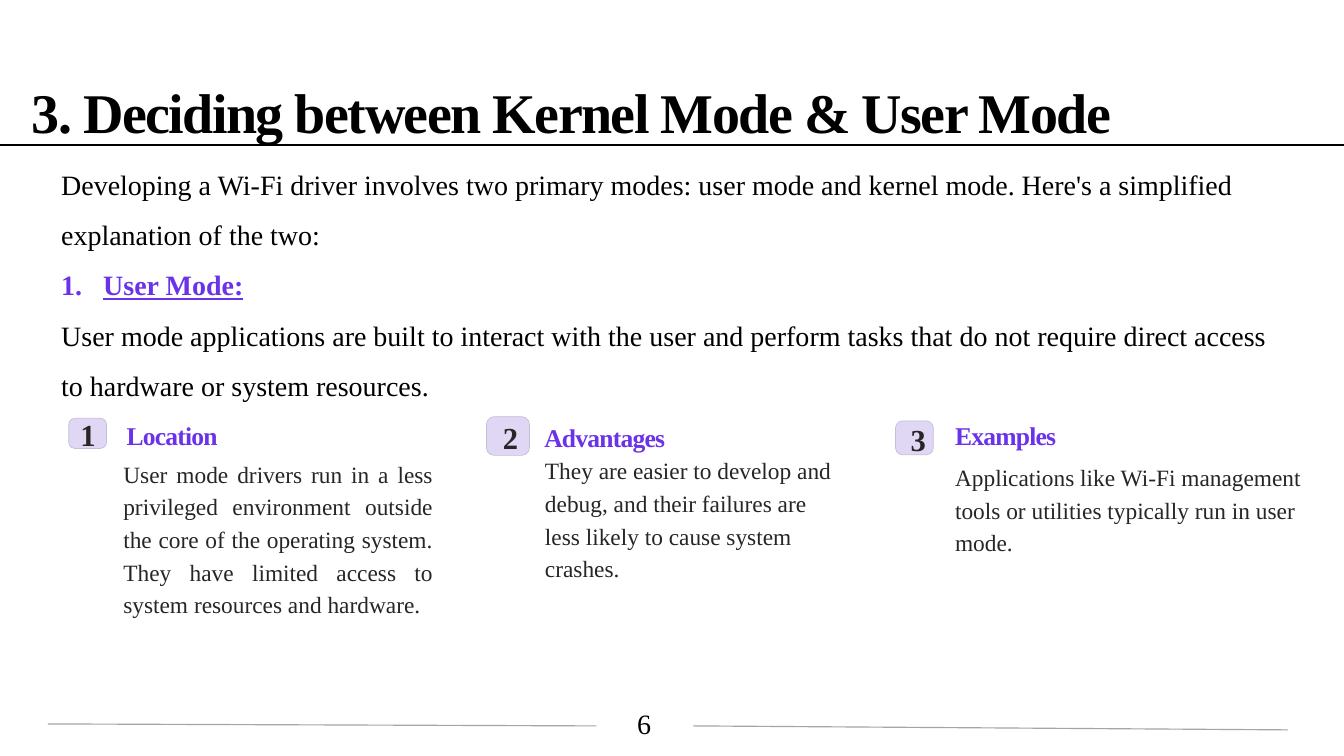
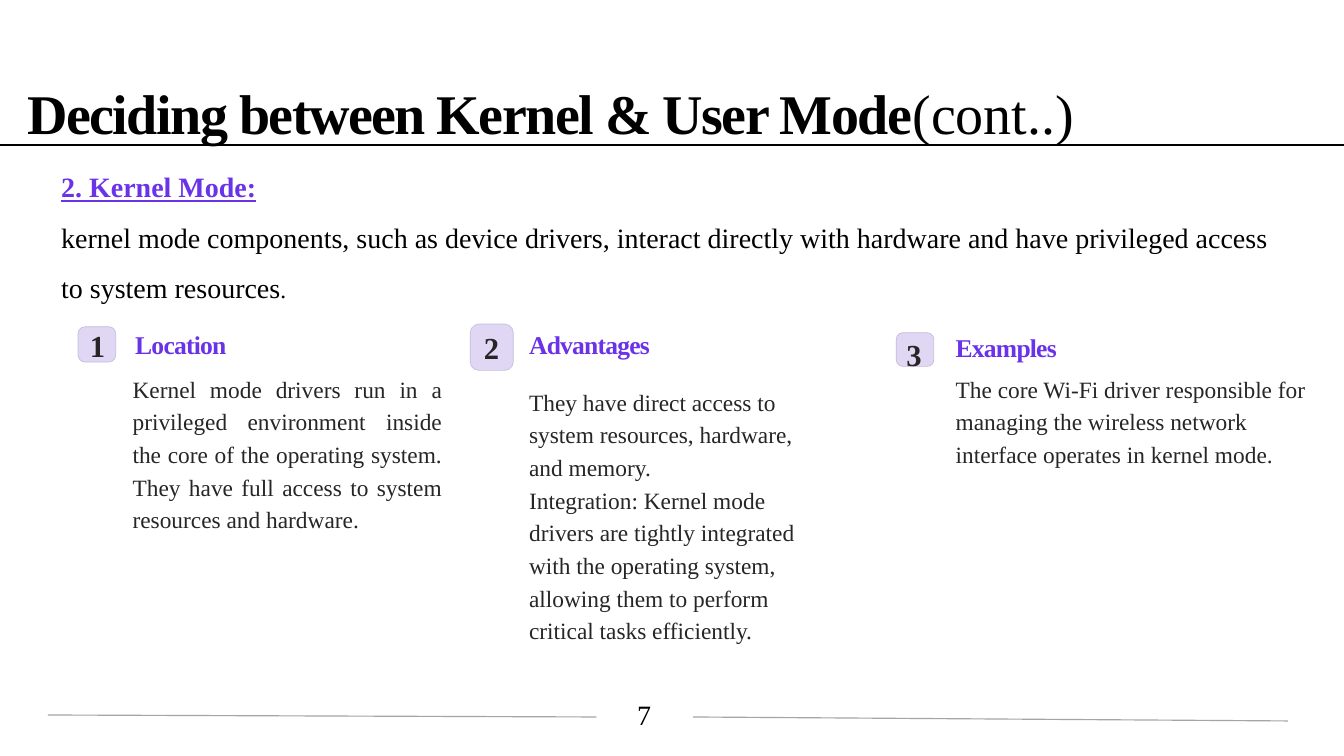
from dataclasses import dataclass
from typing import NamedTuple

from lxml import etree
from pptx import Presentation
from pptx import util as u
from pptx.dml.color import RGBColor
from pptx.enum import shapes, text
from pptx.oxml import ns

FONT = "Times New Roman"
BLACK = RGBColor(0x00, 0x00, 0x00)
INK = RGBColor(0x27, 0x25, 0x25)
PURPLE = RGBColor(0x6A, 0x33, 0xE9)
LILAC = RGBColor(0xE0, 0xD7, 0xF4)
LILAC_EDGE = RGBColor(0xC6, 0xBD, 0xDA)
GREY = RGBColor(0xA5, 0xA5, 0xA5)
LEFT, CENTER, JUSTIFY = (
    text.PP_ALIGN.LEFT, text.PP_ALIGN.CENTER, text.PP_ALIGN.JUSTIFY)


class Box(NamedTuple):
    x: float
    y: float
    w: float
    h: float

    def lengths(self) -> list:
        return [u.Cm(v) for v in self]


class Style(NamedTuple):
    size: float
    color: RGBColor
    bold: bool = False
    underline: bool = False
    spacing: float = 0


class Run(NamedTuple):
    text: str
    style: Style


@dataclass
class Para:
    runs: list[Run]
    leading: float | u.Pt | None = None
    align: text.PP_ALIGN = LEFT
    numbered: bool = False


@dataclass
class Column:
    heading: str
    badge: Box
    number_at: Box
    heading_at: Box
    body_at: Box
    body: list[str]
    align: text.PP_ALIGN = LEFT


@dataclass
class Page:
    number: int
    title: list[Run]
    title_at: Box
    intro: list[Para]
    intro_at: Box
    columns: list[Column]
    footer_y: float


TITLE = Style(48, BLACK, bold=True, spacing=-1.3)
TITLE_NOTE = Style(48, BLACK)
INTRO = Style(24, BLACK)
INTRO_END = Style(20, BLACK)
MODE = Style(24, PURPLE, bold=True, underline=True)
HEADING = Style(21.9, PURPLE, bold=True, spacing=-0.7)
NUMBER = Style(26.2, INK, bold=True, spacing=-0.8)
BODY = Style(20, INK)


def add_text(s, box: Box, paras: list[Para], wrap: bool = True) -> None:
    tf = s.shapes.add_textbox(*box.lengths()).text_frame
    tf.word_wrap = wrap
    for i, para in enumerate(paras):
        p = tf.add_paragraph() if i else tf.paragraphs[0]
        if para.numbered:
            pPr = p._p.get_or_add_pPr()
            pPr.set("marL", str(u.Cm(1.27)))
            pPr.set("indent", str(-u.Cm(1.27)))
            etree.SubElement(pPr, ns.qn("a:buAutoNum"), type="arabicPeriod")
        p.alignment = para.align
        if para.leading is not None:
            p.line_spacing = para.leading
        for run in para.runs:
            r = p.add_run()
            r.text = run.text
            r.font.name = FONT
            r.font.size = u.Pt(run.style.size)
            r.font.bold = run.style.bold
            r.font.underline = run.style.underline
            r.font.color.rgb = run.style.color
            if run.style.spacing:
                r._r.get_or_add_rPr().set("spc", str(round(run.style.spacing * 100)))


def add_line(s, x1: float, y1: float, x2: float, y2: float,
             color: RGBColor, width: float) -> None:
    ends = [u.Cm(v) for v in (x1, y1, x2, y2)]
    c = s.shapes.add_connector(shapes.MSO_CONNECTOR.STRAIGHT, *ends)
    c.line.color.rgb = color
    c.line.width = u.Pt(width)
    etree.SubElement(c._element.spPr, ns.qn("a:effectLst"))


def add_column(s, number: int, col: Column) -> None:
    sp = s.shapes.add_shape(
        shapes.MSO_SHAPE.ROUNDED_RECTANGLE, *col.badge.lengths())
    sp.adjustments[0] = 0.2
    sp.shadow.inherit = False
    sp.fill.solid()
    sp.fill.fore_color.rgb = LILAC
    sp.line.color.rgb = LILAC_EDGE
    sp.line.width = u.Pt(0.6)
    add_text(s, col.heading_at,
             [Para([Run(col.heading, HEADING)], u.Pt(27.3))], wrap=False)
    add_text(s, col.body_at,
             [Para([Run(t, BODY)], u.Pt(28), col.align) for t in col.body])
    add_text(s, col.number_at,
             [Para([Run(str(number), NUMBER)], u.Pt(32.8), CENTER)], wrap=False)


def add_footer(s, number: int, y: float) -> None:
    add_text(s, Box(18.44, y, 2.08, 1.7),
             [Para([Run(str(number), INTRO)], align=CENTER)])
    add_line(s, 1.45, y + 0.66, 18.03, y + 0.72, GREY, 1)
    add_line(s, 20.96, y + 0.72, 38.94, y + 0.84, GREY, 1)


def add_page(prs, page: Page) -> None:
    s = prs.slides.add_slide(prs.slide_layouts[6])
    add_text(s, page.title_at, [Para(page.title, u.Pt(54.7))], wrap=False)
    add_line(s, 0, 4.39, 40.64, 4.39, BLACK, 1.5)
    add_text(s, page.intro_at, page.intro)
    for number, col in enumerate(page.columns, 1):
        add_column(s, number, col)
    add_footer(s, page.number, page.footer_y)


PAGES = [
    Page(
        6,
        [Run("3. Deciding between Kernel Mode & User Mode", TITLE)],
        Box(0.71, 2.31, 34.62, 1.93),
        [
            Para([Run("Developing a Wi-Fi driver involves two primary modes: "
                      "user mode and kernel mode. Here's a simplified "
                      "explanation of the two:", INTRO)], 1.5),
            Para([Run("User Mode:", MODE)], 1.5, numbered=True),
            Para([Run("User mode applications are built to interact with the "
                      "user and perform tasks that do not require direct "
                      "access to hardware or system resources.", INTRO)], 1.5),
        ],
        Box(1.6, 4.42, 37.26, 7.95),
        [
            Column("Location", Box(2.08, 12.65, 1.14, 0.91),
                   Box(2.18, 12.4, 0.97, 1.17), Box(3.58, 12.55, 6.38, 2.18),
                   Box(3.48, 13.64, 9.86, 6.58),
                   ["User mode drivers run in a less privileged environment "
                    "outside the core of the operating system. They have "
                    "limited access to system resources and hardware."],
                   JUSTIFY),
            Column("Advantages", Box(14.71, 12.6, 1.3, 1.17),
                   Box(14.96, 12.5, 0.86, 1.3), Box(16.21, 12.6, 5.26, 1.5),
                   Box(16.23, 13.54, 9.5, 4.62),
                   ["They are easier to develop and debug, and their failures "
                    "are less likely to cause system crashes."]),
            Column("Examples", Box(27.08, 12.73, 1.14, 1.02),
                   Box(27.28, 12.55, 0.97, 1.17), Box(28.63, 12.55, 6.43, 1.63),
                   Box(28.63, 13.74, 11.58, 4.98),
                   ["Applications like Wi-Fi management tools or utilities "
                    "typically run in user mode."]),
        ],
        21.23,
    ),
    Page(
        7,
        [Run("Deciding between Kernel & User Mode", TITLE),
         Run("(cont..)", TITLE_NOTE)],
        Box(0.58, 2.36, 35.97, 1.93),
        [
            Para([Run("2. Kernel Mode:", MODE)], 1.5),
            Para([Run("kernel mode components, such as device drivers, "
                      "interact directly with hardware and have privileged "
                      "access to system resources", INTRO),
                  Run(".", INTRO_END)], 1.5),
        ],
        Box(1.6, 4.5, 37.26, 4.88),
        [
            Column("Location", Box(2.36, 9.88, 1.14, 1.07),
                   Box(2.46, 9.7, 0.97, 1.17), Box(3.84, 9.78, 6.38, 2.59),
                   Box(3.76, 11.07, 9.86, 7.87),
                   ["Kernel mode drivers run in a privileged environment "
                    "inside the core of the operating system. They have full "
                    "access to system resources and hardware."],
                   JUSTIFY),
            Column("Advantages", Box(14.22, 9.8, 1.3, 1.4),
                   Box(14.38, 9.78, 0.97, 1.17), Box(15.75, 9.8, 5.26, 2.62),
                   Box(15.75, 11.46, 9.5, 8),
                   ["They have direct access to system resources, hardware, "
                    "and memory.",
                    "Integration: Kernel mode drivers are tightly integrated "
                    "with the operating system, allowing them to perform "
                    "critical tasks efficiently."]),
            Column("Examples", Box(27.1, 10.06, 1.14, 1.02),
                   Box(27.15, 9.98, 0.97, 1.17), Box(28.65, 9.88, 6.43, 1.63),
                   Box(28.65, 11.07, 11.58, 4.98),
                   ["The core Wi-Fi driver responsible for managing the "
                    "wireless network interface operates in kernel mode."]),
        ],
        20.96,
    ),
]


def main() -> None:
    prs = Presentation()
    prs.slide_width, prs.slide_height = u.Cm(40.64), u.Cm(22.86)
    for page in PAGES:
        add_page(prs, page)
    prs.save("out.pptx")


if __name__ == "__main__":
    main()
